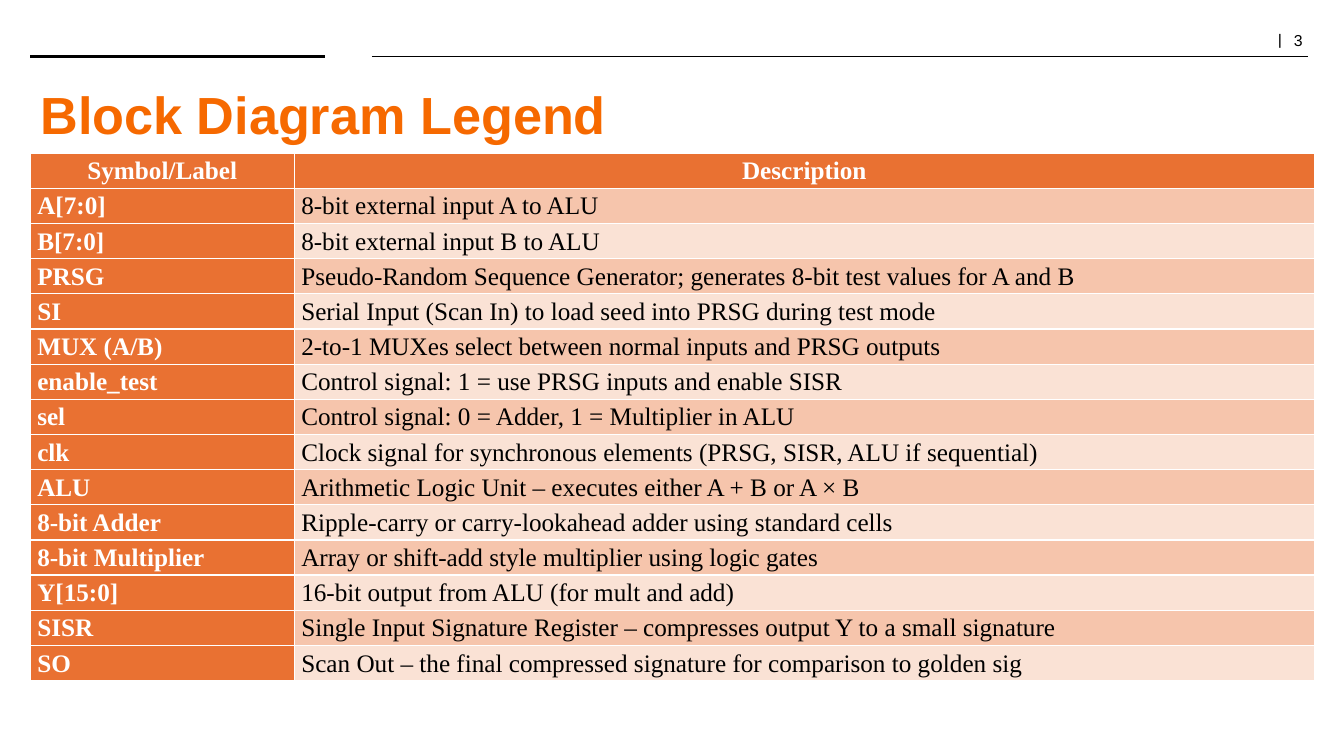
"""Build the block diagram legend slide."""
import pptx
import pptx.dml.color
import pptx.enum.shapes
import pptx.enum.text
import pptx.oxml.ns
import pptx.util
from lxml import etree

TITLE = "Block Diagram Legend"
PAGE_NUMBER = "3"
HEADER = ("Symbol/Label", "Description")
LEGEND = [
    ("A[7:0]", "8-bit external input A to ALU"),
    ("B[7:0]", "8-bit external input B to ALU"),
    ("PRSG", "Pseudo-Random Sequence Generator; generates 8-bit test values for A and B"),
    ("SI", "Serial Input (Scan In) to load seed into PRSG during test mode"),
    ("MUX (A/B)", "2-to-1 MUXes select between normal inputs and PRSG outputs"),
    ("enable_test", "Control signal: 1 = use PRSG inputs and enable SISR"),
    ("sel", "Control signal: 0 = Adder, 1 = Multiplier in ALU"),
    ("clk", "Clock signal for synchronous elements (PRSG, SISR, ALU if sequential)"),
    ("ALU", "Arithmetic Logic Unit – executes either A + B or A × B"),
    ("8-bit Adder", "Ripple-carry or carry-lookahead adder using standard cells"),
    ("8-bit Multiplier", "Array or shift-add style multiplier using logic gates"),
    ("Y[15:0]", "16-bit output from ALU (for mult and add)"),
    ("SISR", "Single Input Signature Register – compresses output Y to a small signature"),
    ("SO", "Scan Out – the final compressed signature for comparison to golden sig"),
]
THEME = {
    "title": "F66900", "ink": "000000", "paper": "FFFFFF", "accent": "E97132",
    "bands": ("F6C5AC", "FAE2D5"),
    "title_size": 37.3, "table_size": 18, "bar_size": 12, "number_size": 11.3,
    "sans": "Arial", "serif": "Times New Roman", "bar_font": "TeX Gyre Schola",
}
LEFT = 21.6
RULE_TOP = 40.4
RULES = [(LEFT, 232, 2), (265.7, 934, 1)]
COLUMN_WIDTHS = (188.6, 728.7)
TABLE_TOP, ROW_HEIGHT = 109.4, 25.12
CELL_INSET = 5.04

Pt = pptx.util.Pt
Align = pptx.enum.text.PP_ALIGN
Anchor = pptx.enum.text.MSO_ANCHOR
qn = pptx.oxml.ns.qn


def rgb(value):
    """Turn a hex string into a colour."""
    return pptx.dml.color.RGBColor.from_string(value)


def style(font, name, size, color, bold=False):
    """Set the look of a font."""
    font.name, font.size, font.bold = name, Pt(size), bold
    font.color.rgb = rgb(color)


def add_rule(page, start, end, weight):
    """Draw one black horizontal rule above the title."""
    rule = page.shapes.add_connector(
        pptx.enum.shapes.MSO_CONNECTOR.STRAIGHT,
        Pt(start), Pt(RULE_TOP), Pt(end), Pt(RULE_TOP))
    rule.line.color.rgb, rule.line.width = rgb(THEME["ink"]), Pt(weight)
    etree.SubElement(rule._element.spPr, qn("a:effectLst"))


def add_page_number(page):
    """Write the bar and page number in the top right corner."""
    box = page.shapes.add_textbox(Pt(903.6), Pt(20.2), Pt(97.9), Pt(18.7))
    box.text_frame.word_wrap = True
    para = box.text_frame.paragraphs[0]
    para.line_spacing = 0.8
    tabs = etree.SubElement(para._p.get_or_add_pPr(), qn("a:tabLst"))
    etree.SubElement(tabs, qn("a:tab"), pos=str(Pt(13.5)), algn="l")
    bar, number = para.add_run(), para.add_run()
    bar.text, number.text = "|\t", PAGE_NUMBER
    style(bar.font, THEME["bar_font"], THEME["bar_size"], THEME["ink"])
    style(number.font, THEME["sans"], THEME["number_size"], THEME["ink"])


def add_title(page):
    """Place the slide title."""
    title = page.shapes.title
    title.left, title.top, title.width, title.height = Pt(LEFT), Pt(54), Pt(815.8), Pt(54.7)
    frame = title.text_frame
    frame.text, frame.vertical_anchor = TITLE, Anchor.MIDDLE
    para = frame.paragraphs[0]
    para.alignment = Align.LEFT
    style(para.runs[0].font, THEME["sans"], THEME["title_size"], THEME["title"], True)


def add_borders(cell, sides):
    """Draw white borders on the given sides, ahead of the cell fill."""
    props = cell._tc.get_or_add_tcPr()
    for index, side in enumerate(sides):
        line = etree.Element(qn("a:ln" + side), w=str(Pt(1)))
        fill = etree.SubElement(line, qn("a:solidFill"))
        etree.SubElement(fill, qn("a:srgbClr"), val=THEME["paper"])
        props.insert(index, line)


def fill_cell(cell, text, row, column):
    """Fill one legend cell according to its row and column."""
    heading = row == 0
    strong = heading or column == 0
    cell.margin_left = cell.margin_right = Pt(CELL_INSET)
    cell.margin_top = cell.margin_bottom = 0
    cell.fill.solid()
    cell.fill.fore_color.rgb = rgb(THEME["accent"] if strong else THEME["bands"][(row - 1) % 2])
    add_borders(cell, ("LTB", "RTB")[column] if heading else "LRTB")
    cell.text_frame.text = text
    para = cell.text_frame.paragraphs[0]
    para.alignment = Align.CENTER if heading else Align.LEFT
    para.line_spacing, para.space_after = 1.15, Pt(8)
    style(para.runs[0].font, THEME["serif"], THEME["table_size"],
          THEME["paper" if strong else "ink"], strong)


def add_legend(page):
    """Add the legend table."""
    rows = [HEADER, *LEGEND]
    table = page.shapes.add_table(
        len(rows), len(HEADER), Pt(LEFT), Pt(TABLE_TOP),
        Pt(sum(COLUMN_WIDTHS)), Pt(ROW_HEIGHT * len(rows))).table
    table.first_col = True
    for column, width in zip(table.columns, COLUMN_WIDTHS):
        column.width = Pt(width)
    for row, texts in enumerate(rows):
        table.rows[row].height = Pt(ROW_HEIGHT)
        for column, text in enumerate(texts):
            fill_cell(table.cell(row, column), text, row, column)


def main():
    """Build and save the deck."""
    deck = pptx.Presentation()
    deck.slide_width, deck.slide_height = Pt(960), Pt(540)
    page = deck.slides.add_slide(deck.slide_layouts.get_by_name("Title Only"))
    add_page_number(page)
    for rule in RULES:
        add_rule(page, *rule)
    add_title(page)
    add_legend(page)
    deck.save("out.pptx")


if __name__ == "__main__":
    main()
